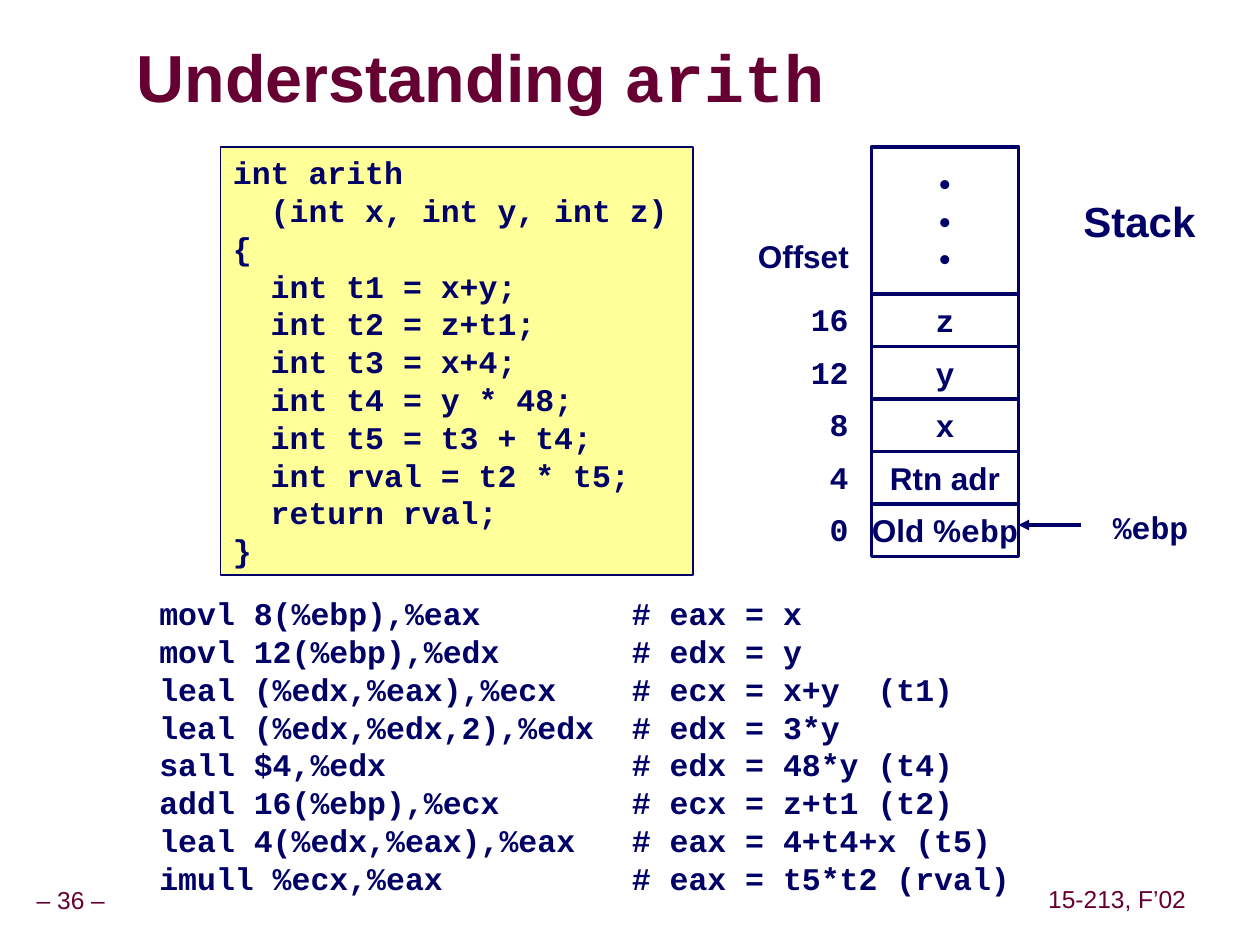
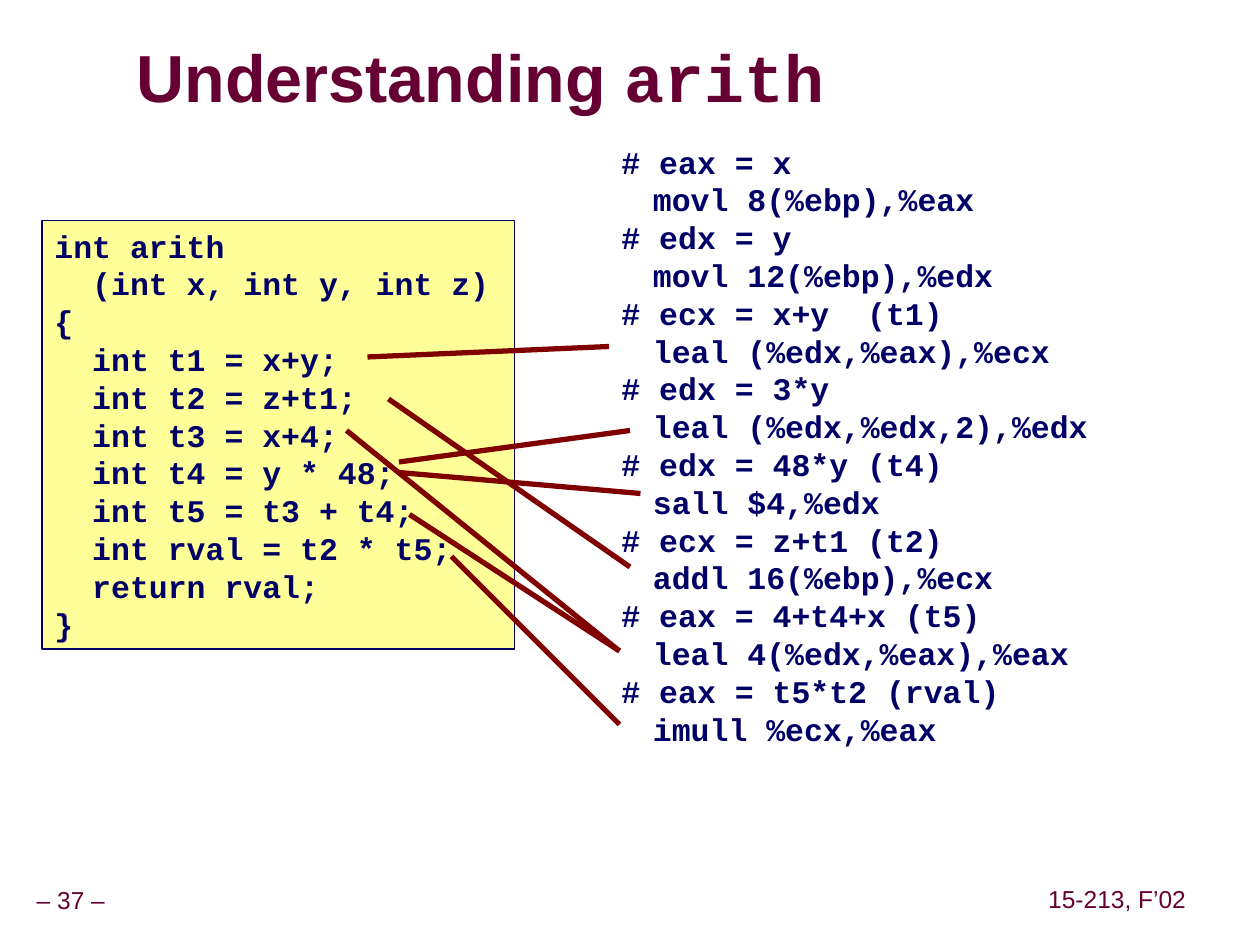
"""Builds two slides that trace the assembly code of the C function arith."""
import pptx
import pptx.dml.color
import pptx.enum.shapes
import pptx.enum.text
import pptx.oxml
import pptx.oxml.ns
import pptx.util

PX = pptx.util.Inches(1) // 120
COLOURS = {"maroon": "660033", "navy": "000066", "yellow": "FFFF99",
           "white": "FFFFFF", "red": "800000", "shadow": "969696"}
SANS, MONO = "Arial", "Courier New"
ALIGN = pptx.enum.text.PP_ALIGN
ANCHOR = pptx.enum.text.MSO_ANCHOR
DRAWING = pptx.oxml.ns.nsdecls("a")


def place_text(page, area, lines, fill=None, border=2, size=18, colour="navy", bold=True,
               align=ALIGN.LEFT, anchor=ANCHOR.TOP, wrap=True, spacing=1.0,
               insets=(12, 6), tabs=()):
    """Place lines of (text, font) spans in a text box, or in a rectangle if filled."""
    bounds = [length * PX for length in area]
    if fill:
        box = page.shapes.add_shape(pptx.enum.shapes.MSO_SHAPE.RECTANGLE, *bounds)
        box.shadow.inherit = False
        box.fill.solid()
        box.fill.fore_color.rgb = pptx.dml.color.RGBColor.from_string(COLOURS[fill])
        box.line.color.rgb = pptx.dml.color.RGBColor.from_string(COLOURS["navy"])
        box.line.width = pptx.util.Pt(border)
    else:
        box = page.shapes.add_textbox(*bounds)
    frame = box.text_frame
    frame.word_wrap = wrap
    frame.vertical_anchor = anchor
    frame.margin_left = frame.margin_right = insets[0] * PX
    frame.margin_top = frame.margin_bottom = insets[1] * PX
    for number, spans in enumerate(lines):
        para = frame.add_paragraph() if number else frame.paragraphs[0]
        para.alignment = align
        para.line_spacing = spacing
        if tabs:
            stops = "".join(f'<a:tab pos="{stop * PX}" algn="l"/>' for stop in tabs)
            para._p.get_or_add_pPr().append(
                pptx.oxml.parse_xml(f"<a:tabLst {DRAWING}>{stops}</a:tabLst>"))
        for text, font in spans:
            span = para.add_run()
            span.text = text
            span.font.name = font
            span.font.size = pptx.util.Pt(size)
            span.font.bold = bold
            span.font.color.rgb = pptx.dml.color.RGBColor.from_string(COLOURS[colour])


def draw_line(page, ends, colour, width, arrow=False):
    """Draw a straight line, with an arrowhead at its end if asked."""
    line = page.shapes.add_connector(pptx.enum.shapes.MSO_CONNECTOR.STRAIGHT,
                                     *[length * PX for length in ends])
    line.line.color.rgb = pptx.dml.color.RGBColor.from_string(COLOURS[colour])
    line.line.width = pptx.util.Pt(width)
    if arrow:
        line.line._get_or_add_ln().append(
            pptx.oxml.parse_xml(f'<a:tailEnd {DRAWING} type="triangle"/>'))
    line._element.spPr.append(pptx.oxml.parse_xml(f"<a:effectLst {DRAWING}/>"))


ARITH_SOURCE = """int arith
  (int x, int y, int z)
{
  int t1 = x+y;
  int t2 = z+t1;
  int t3 = x+4;
  int t4 = y * 48;
  int t5 = t3 + t4;
  int rval = t2 * t5;
  return rval;
}""".split("\n")

INSTRUCTIONS = [
    ("movl 8(%ebp),%eax", "# eax = x"),
    ("movl 12(%ebp),%edx", "# edx = y"),
    ("leal (%edx,%eax),%ecx", "# ecx = x+y  (t1)"),
    ("leal (%edx,%edx,2),%edx", "# edx = 3*y"),
    ("sall $4,%edx", "# edx = 48*y (t4)"),
    ("addl 16(%ebp),%ecx", "# ecx = z+t1 (t2)"),
    ("leal 4(%edx,%eax),%eax", "# eax = 4+t4+x (t5)"),
    ("imull %ecx,%eax", "# eax = t5*t2 (rval)"),
]
ASSEMBLY_TABS = (30, 480)

deck = pptx.Presentation()
deck.slide_width = 1200 * PX
deck.slide_height = 900 * PX

pages = []
for page_number, source_left, source_top in [(36, 210, 140), (37, 40, 210)]:
    page = deck.slides.add_slide(deck.slide_layouts[5])
    pages.append(page)

    for text, area in [(f"– {page_number} –", (-11, 840, 157, 37)),
                       ("15-213, F’02", (992, 839, 144, 37))]:
        place_text(page, area, [[(text, SANS)]], size=14, colour="maroon", bold=False,
                   align=ALIGN.CENTER, anchor=ANCHOR.MIDDLE, wrap=False, spacing=0.9,
                   insets=(6, 6))

    title = page.shapes.title
    title.left, title.top, title.width, title.height = 130 * PX, 40 * PX, 788 * PX, 76 * PX
    frame = title.text_frame
    frame.auto_size = pptx.enum.text.MSO_AUTO_SIZE.NONE
    frame.vertical_anchor = ANCHOR.MIDDLE
    frame.margin_left = frame.margin_right = frame.margin_top = frame.margin_bottom = 0
    para = frame.paragraphs[0]
    para.alignment = ALIGN.LEFT
    para.line_spacing = 0.87
    for text, font in [("Understanding ", SANS), ("arith", MONO)]:
        span = para.add_run()
        span.text = text
        span.font.size = pptx.util.Pt(38)
        span.font.bold = True
        span.font.color.rgb = pptx.dml.color.RGBColor.from_string(COLOURS["maroon"])
        span._r.get_or_add_rPr().append(pptx.oxml.parse_xml(
            f'<a:effectLst {DRAWING}><a:outerShdw dist="{5 * PX}" dir="2700000">'
            f'<a:srgbClr val="{COLOURS["shadow"]}"/></a:outerShdw></a:effectLst>'))
        span.font.name = font

    place_text(page, (source_left, source_top, 450, 408),
               [[(line, MONO)] for line in ARITH_SOURCE], fill="yellow", border=1)

stack_page, mapping_page = pages

place_text(stack_page, (110, 560, 890, 300),
           [[(f"\t{code}\t{comment}", MONO)] for code, comment in INSTRUCTIONS],
           tabs=ASSEMBLY_TABS)

place_text(stack_page, (830, 140, 140, 140), [[("•", SANS)]] * 3, fill="white",
           align=ALIGN.CENTER, anchor=ANCHOR.MIDDLE, wrap=False)
STACK_CELLS = [
    ("16", [("z", MONO)]),
    ("12", [("y", MONO)]),
    ("8", [("x", MONO)]),
    ("4", [("Rtn adr", SANS)]),
    ("0", [("Old %", SANS), ("ebp", MONO)]),
]
for row, (offset, content) in enumerate(STACK_CELLS):
    top = 280 + 50 * row
    place_text(stack_page, (830, top, 140, 50), [content], fill="white",
               align=ALIGN.CENTER, anchor=ANCHOR.MIDDLE, wrap=False)
    place_text(stack_page, (740, top, 80, 48), [[(offset, MONO)]], align=ALIGN.RIGHT)

for text, font, size, area in [("Offset", SANS, 18, (710, 220, 111, 48)),
                               ("Stack", SANS, 24, (1020, 180, 131, 60)),
                               ("%ebp", MONO, 18, (1048, 478, 96, 48))]:
    place_text(stack_page, area, [[(text, font)]], size=size, wrap=False)
draw_line(stack_page, (1030, 500, 970, 500), "navy", 2, arrow=True)

mapping_lines = []
for code, comment in INSTRUCTIONS:
    mapping_lines += [[(comment, MONO)], [(f"\t{code}", MONO)]]
place_text(mapping_page, (580, 130, 580, 588), mapping_lines, tabs=ASSEMBLY_TABS)

SOURCE_TO_ASSEMBLY = [
    (350, 340, 580, 330),
    (380, 440, 600, 410),
    (380, 450, 610, 470),
    (370, 380, 600, 540),
    (390, 490, 590, 620),
    (330, 410, 590, 620),
    (430, 530, 590, 690),
]
for ends in SOURCE_TO_ASSEMBLY:
    draw_line(mapping_page, ends, "red", 3)

deck.save("out.pptx")
